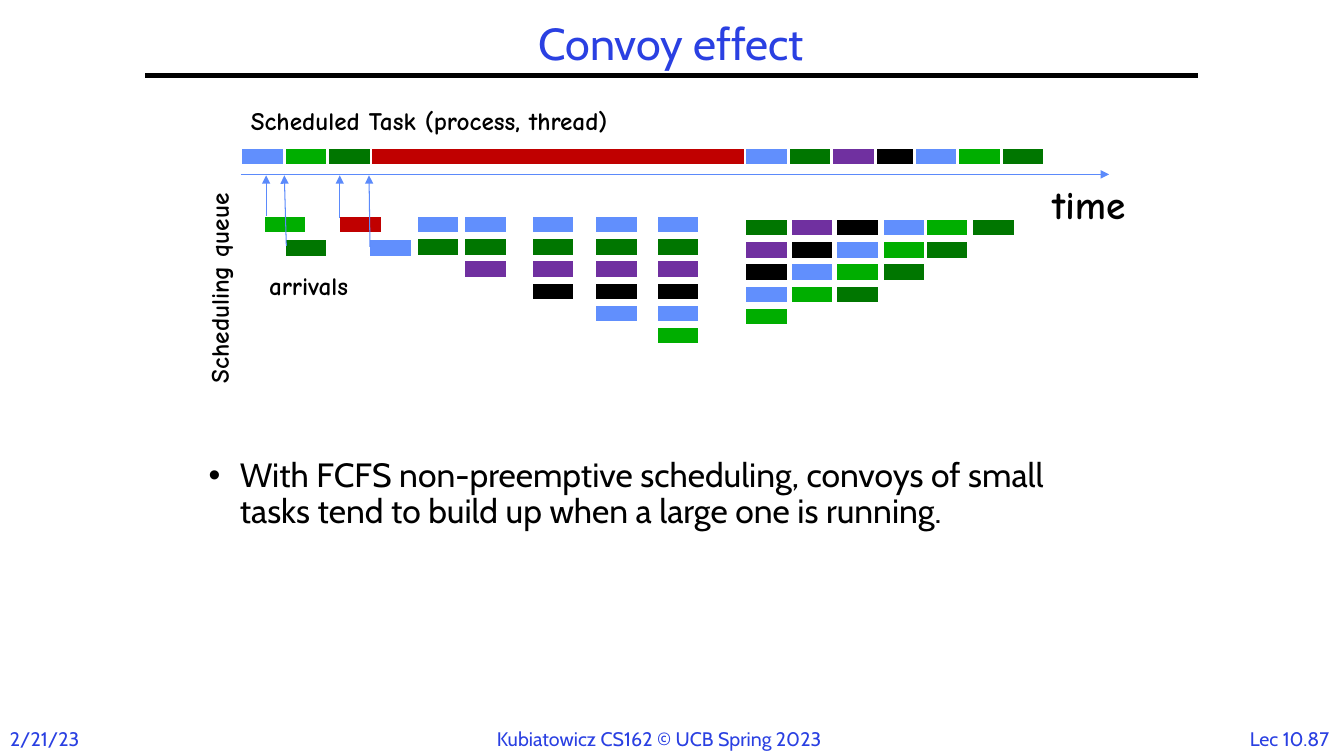
from pptx import Presentation
from pptx.dml.color import RGBColor
from pptx.enum.shapes import MSO_CONNECTOR, MSO_SHAPE
from pptx.enum.text import MSO_ANCHOR, MSO_AUTO_SIZE, PP_ALIGN
from pptx.oxml.ns import qn
from pptx.util import Inches, Pt
from lxml.etree import SubElement

HEADING_BLUE = RGBColor(0x2A, 0x40, 0xE2)
ARROW_BLUE = RGBColor(0x5B, 0x8A, 0xFB)
BLACK = RGBColor(0, 0, 0)
WHITE = RGBColor(0xFF, 0xFF, 0xFF)
TASK_BLUE = RGBColor(0x61, 0x8F, 0xFD)
LIGHT_GREEN = RGBColor(0x00, 0xAE, 0x00)
DARK_GREEN = RGBColor(0x00, 0x76, 0x00)
RED = RGBColor(0xC0, 0, 0)
PURPLE = RGBColor(0x70, 0x30, 0xA0)

TASK_WIDTH, TASK_HEIGHT = 0.43, 0.18
QUEUE_PITCH = 0.22
CONVOY = [TASK_BLUE, DARK_GREEN, PURPLE, BLACK, TASK_BLUE, LIGHT_GREEN, DARK_GREEN]

FOOTER_FONT = {"name": "Cabin", "size": Pt(14), "color": HEADING_BLUE}
TITLE_FONT = {"name": "Cabin", "size": Pt(32), "color": HEADING_BLUE}
BODY_FONT = {"name": "Cabin", "size": Pt(24), "color": BLACK}
LABEL_FONT = {"name": "Comic Neue", "size": Pt(18), "bold": True, "color": BLACK}
TIME_FONT = {**LABEL_FONT, "size": Pt(28)}


def add_text(page, box, text, font, wrap=False, **para_format):
    """Add a one-paragraph text box; unwrapped boxes fit their text."""
    shape = page.shapes.add_textbox(*map(Inches, box))
    frame = shape.text_frame
    frame.word_wrap = wrap
    frame.auto_size = MSO_AUTO_SIZE.NONE if wrap else MSO_AUTO_SIZE.SHAPE_TO_FIT_TEXT
    para = frame.paragraphs[0]
    for name, value in para_format.items():
        setattr(para, name, value)
    span = para.add_run()
    span.text = text
    for name, value in font.items():
        if name == "color":
            span.font.color.rgb = value
        else:
            setattr(span.font, name, value)
    return shape


def add_line(page, start, end, color, width, arrow=False):
    line = page.shapes.add_connector(MSO_CONNECTOR.STRAIGHT, *map(Inches, start + end))
    line.line.color.rgb = color
    line.line.width = Pt(width)
    properties = line._element.spPr
    if arrow:
        SubElement(properties.find(qn("a:ln")), qn("a:tailEnd"), type="triangle")
    SubElement(properties, qn("a:effectLst"))


def add_task(page, left, top, color, width=TASK_WIDTH):
    task = page.shapes.add_shape(
        MSO_SHAPE.RECTANGLE, *map(Inches, (left, top, width, TASK_HEIGHT)))
    task.shadow.inherit = False
    task.fill.solid()
    task.fill.fore_color.rgb = color
    task.line.color.rgb = WHITE
    task.line.width = Pt(2)


def add_footer(page, box):
    left, top, width, height = box
    add_text(page, (left, top, 1.1, height), "2/21/23", FOOTER_FONT)
    add_text(page, (left + 4.83, top, 3.68, height),
             "Kubiatowicz CS162 © UCB Spring 2023", FOOTER_FONT)
    add_text(page, (left + width - 1.08, top, 1.08, height), "Lec 10.87",
             FOOTER_FONT, alignment=PP_ALIGN.CENTER)


def add_title(page, box):
    """Add the heading with a rule along the bottom of its box."""
    left, top, width, height = box
    add_line(page, (left, top + height), (left + width, top + height), BLACK, 3)
    title = add_text(page, box, "Convoy effect", TITLE_FONT, wrap=True,
                     alignment=PP_ALIGN.CENTER, line_spacing=0.9)
    title.text_frame.vertical_anchor = MSO_ANCHOR.MIDDLE


def add_timeline(page, box):
    """Add the tasks in the order they run, above the time axis."""
    left, top, width, height = box
    axis = top + height
    add_text(page, (left, top, 4.35, 0.4), "Scheduled Task (process, thread)", LABEL_FONT)
    add_line(page, (left, axis), (left + width, axis), ARROW_BLUE, 0.75, arrow=True)
    add_text(page, (left + width - 0.66, axis + 0.01, 1.02, 0.57), "time", TIME_FONT)
    widths = [TASK_WIDTH] * 3 + [3.71] + [TASK_WIDTH] * 3 + [0.39] + [TASK_WIDTH] * 3
    colors = [TASK_BLUE, LIGHT_GREEN, DARK_GREEN, RED] + CONVOY
    task_left = left
    for color, task_width in zip(colors, widths):
        add_task(page, task_left, top + 0.46, color, task_width)
        task_left += task_width


def add_queues(page, box):
    """Add the waiting tasks: the convoy grows, then drains."""
    left, top, width, height = box
    label_width, label_height = 2.27, 0.4
    label = add_text(page, (left + (label_height - label_width) / 2,
                            top + (height - label_height) / 2,
                            label_width, label_height), "Scheduling queue", LABEL_FONT)
    label.rotation = 270
    growing = [(offset, 0.51, CONVOY[:length]) for length, offset in
               enumerate((2.16, 2.63, 3.3, 3.93, 4.54), start=2)]
    # The last task joins once two others have left the queue.
    draining = [(offset, 0.54, CONVOY[first:6 if first < 3 else 7]) for first, offset in
                enumerate((5.42, 5.87, 6.32, 6.78, 7.21, 7.67), start=1)]
    for offset, drop, waiting in growing + draining:
        for row, color in enumerate(waiting):
            add_task(page, left + offset, top + drop + row * QUEUE_PITCH, color)


def add_arrivals(page, box):
    """Add each arriving task with an arrow up to the time axis."""
    left, top, width, height = box
    add_text(page, (left - 0.04, top + 0.89, 1.11, 0.4), "arrivals", LABEL_FONT)
    for offset, drop, color, tail, tail_drop, tip in (
            (0, 0.4, LIGHT_GREEN, 0.03, 0.4, 0.03),
            (0.21, 0.63, DARK_GREEN, 0.23, 0.7, 0.21),
            (0.75, 0.4, RED, 0.76, 0.42, 0.76),
            (1.05, 0.63, TASK_BLUE, 1.06, 0.71, 1.05)):
        add_task(page, left + offset, top + drop, color)
        add_line(page, (left + tail, top + tail_drop), (left + tip, top),
                 ARROW_BLUE, 0.75, arrow=True)


def add_body(page, box):
    body = add_text(page, box, "With FCFS non-preemptive scheduling, convoys of small "
                    "tasks tend to build up when a large one is running.",
                    BODY_FONT, wrap=True, line_spacing=0.9)
    properties = body.text_frame.paragraphs[0]._p.get_or_add_pPr()
    indent = Inches(0.31)
    properties.set("marL", str(indent))
    properties.set("indent", str(-indent))
    SubElement(properties, qn("a:buFont"), typeface="Arial")
    SubElement(properties, qn("a:buChar"), char="•")


def main():
    deck = Presentation()
    deck.slide_width, deck.slide_height = Inches(13.33), Inches(7.5)
    page = deck.slides.add_slide(deck.slide_layouts[6])
    add_footer(page, (0, 7.16, 13.33, 0.34))
    add_title(page, (1.44, 0.17, 10.44, 0.58))
    add_body(page, (1.97, 4.5, 8.62, 1.97))
    add_timeline(page, (2.39, 1, 8.61, 0.73))
    add_queues(page, (1.97, 1.63, 8.1, 2.27))
    add_arrivals(page, (2.61, 1.74, 1.48, 1.28))
    deck.save("out.pptx")


if __name__ == "__main__":
    main()
